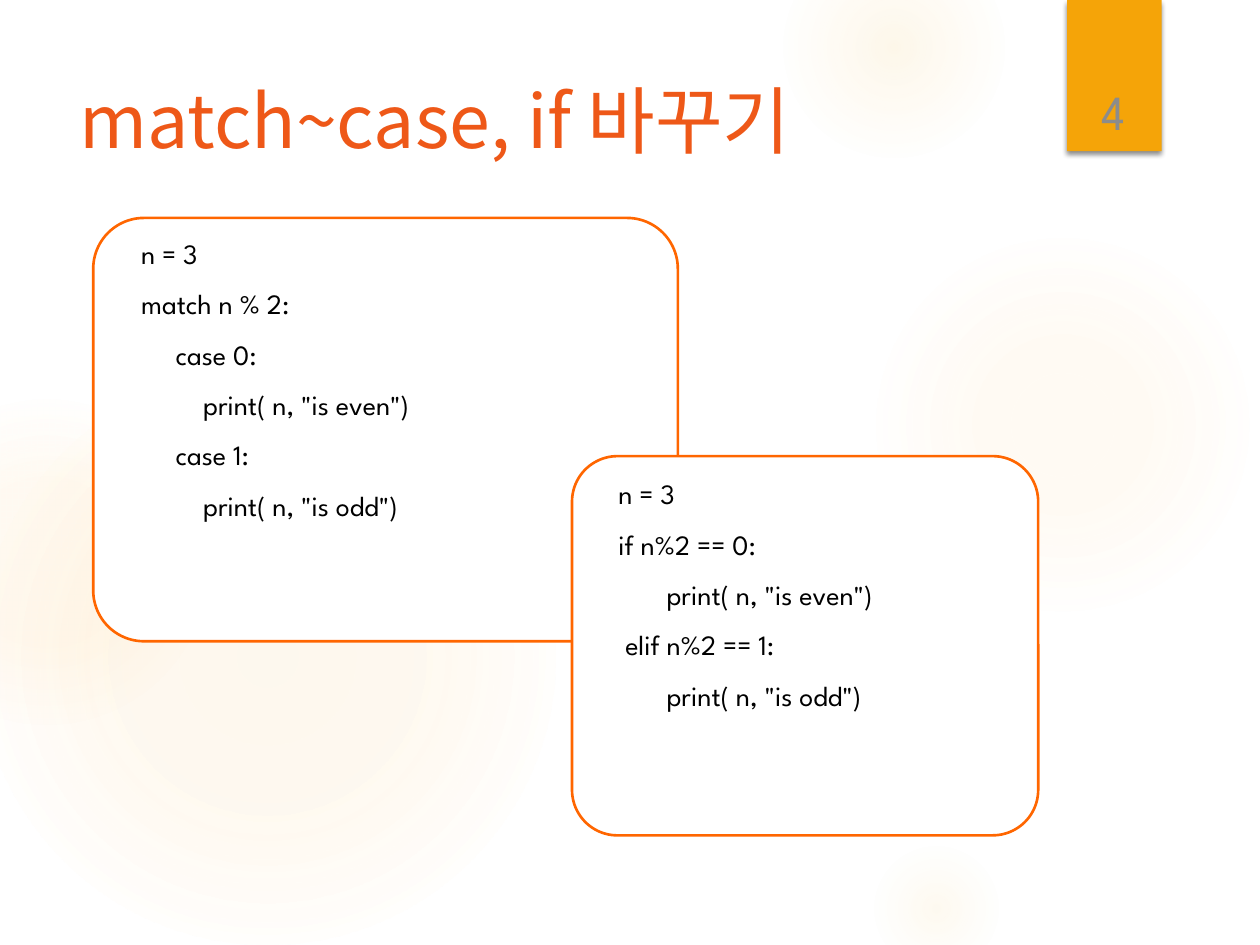
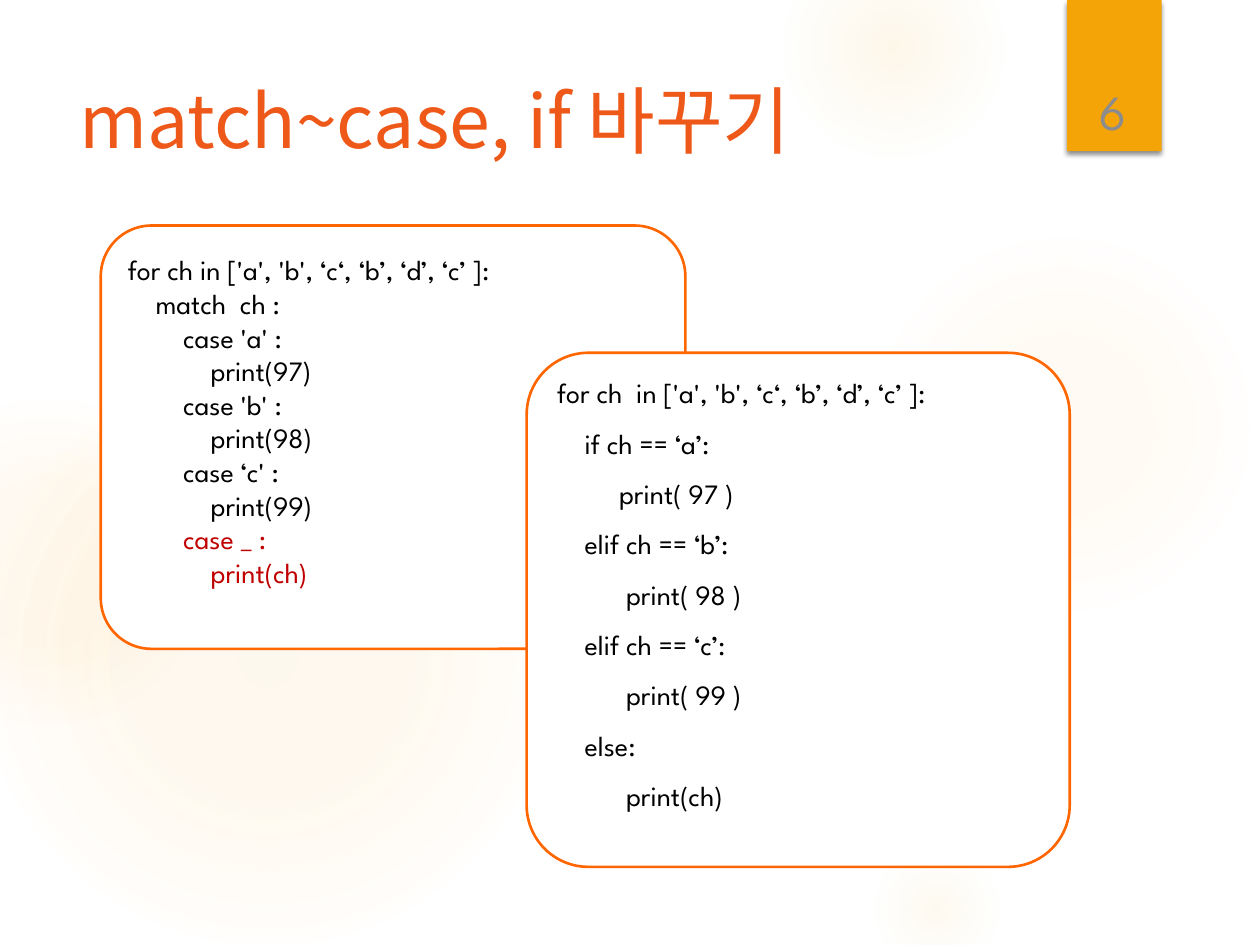
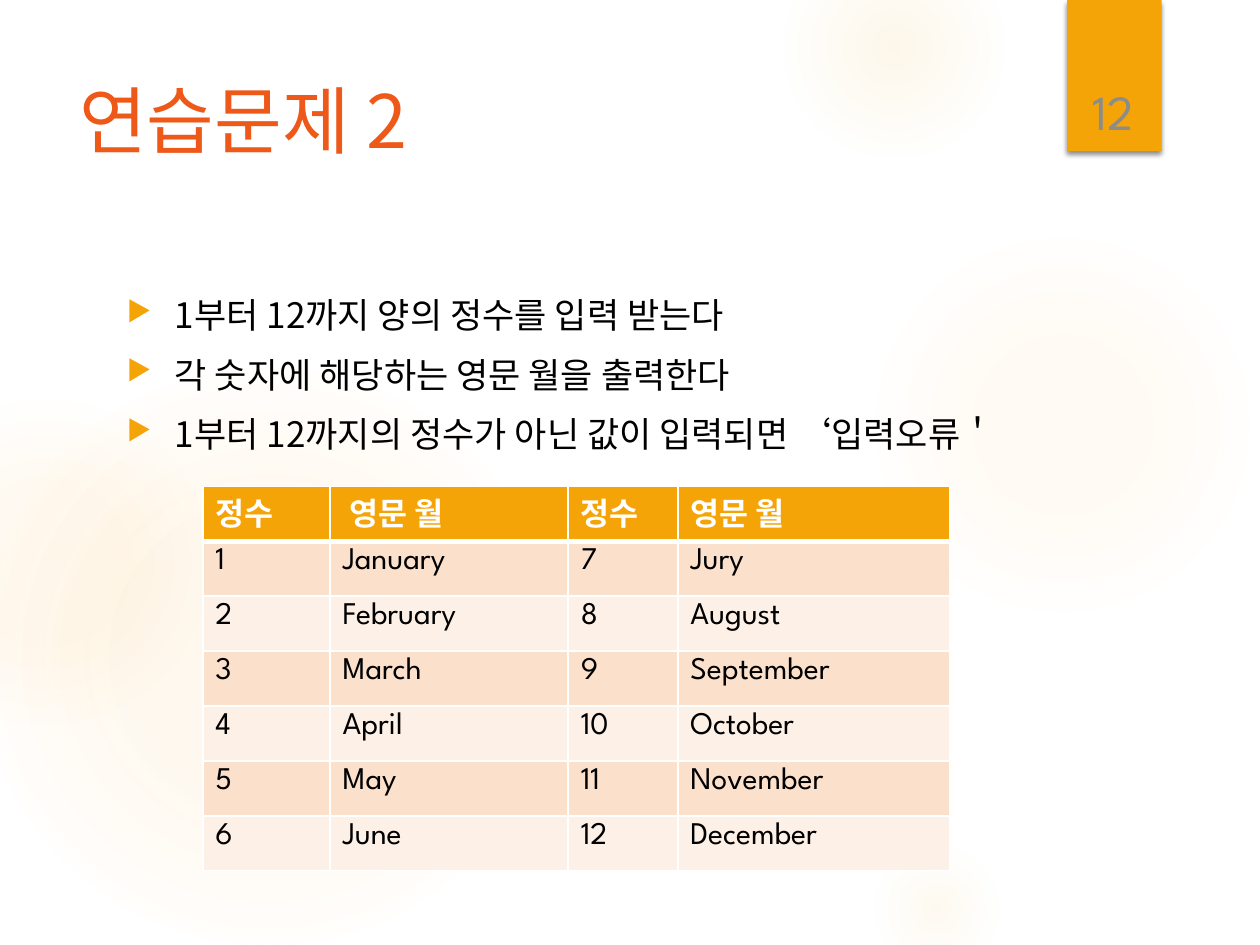
from lxml.etree import SubElement
from pptx import Presentation
from pptx.dml.color import RGBColor
from pptx.enum.shapes import MSO_SHAPE
from pptx.enum.text import MSO_ANCHOR, PP_ALIGN
from pptx.oxml import parse_xml
from pptx.oxml.ns import nsdecls, qn
from pptx.util import Inches, Pt

COLORS = {
    "paper": "FFFFFF", "ink": "000000", "title": "EE5818", "accent": "F5A408",
    "glow": "FAC96A", "outline": "FF6600", "number": "8C8C8C", "highlight": "C00000",
    "band_dark": "FBE0CC", "band_light": "FDF0E7",
}
LATIN, KOREAN = "League Spartan", "Noto Sans CJK KR"

GLOWS = [
    ((6.89, 1.83, 3.08), ((0, 7), (36, 6), (69, 0))),
    ((6.22, -0.5, 1.75), ((0, 14), (36, 7), (73, 0))),
    ((6.89, 6.67, 1.08), ((0, 10), (31, 5), (66, 0))),
    ((-0.17, 2.92, 4.58), ((0, 11), (36, 10), (75, 0))),
    ((-0.92, 3.17, 2.58), ((0, 8), (36, 8), (72, 0))),
]

CODE_SLIDES = [
    ("match~case, if 바꾸기", 4, [
        ((0.74, 1.73, 4.64, 3.36), 0.03, 1.5, [
            "   n = 3",
            "   match n % 2:",
            "        case 0:",
            '            print( n, "is even")',
            "        case 1:",
            '            print( n, "is odd")',
        ]),
        ((4.54, 3.62, 3.7, 3.01), 0.06, 1.5, [
            "   n = 3",
            "   if n%2 == 0:",
            '          print( n, "is even")',
            "    elif n%2 == 1:",
            '          print( n, "is odd")',
        ]),
    ]),
    ("match~case, if 바꾸기", 6, [
        ((0.8, 1.79, 4.64, 3.36), 0.1, 1.0, [
            "for ch in ['a', 'b', ‘c‘, ‘b’, ‘d’, ‘c’ ]:",
            "    match  ch :",
            "        case 'a' :",
            "            print(97)",
            "        case 'b' :",
            "            print(98)",
            "        case ‘c' :",
            "            print(99)",
            "        case _ :",
            "            print(ch)",
        ]),
        ((4.18, 2.8, 4.31, 4.08), 0.04, 1.5, [
            "for ch  in ['a', 'b', ‘c‘, ‘b’, ‘d’, ‘c’ ]:",
            "    if ch == ‘a’:",
            "         print( 97 )",
            "    elif ch == ‘b’:",
            "          print( 98 )",
            "    elif ch == ‘c’:",
            "          print( 99 )",
            "    else:",
            "          print(ch)",
        ]),
    ]),
]
HIGHLIGHTED = {"case _ :", "print(ch)"}

TASKS = [
    "1부터 12까지 양의 정수를 입력 받는다",
    "각 숫자에 해당하는 영문 월을 출력한다",
    "1부터 12까지의 정수가 아닌 값이 입력되면 ‘입력오류＇",
]
MONTHS = ["January", "February", "March", "April", "May", "June",
          "Jury", "August", "September", "October", "November", "December"]
MONTH_HEADER = ["정수", " 영문 월", "정수", "영문 월"]


def rgb(name):
    """Return a palette colour."""
    return RGBColor.from_string(COLORS[name])


def inches(box):
    """Convert a box of numbers to lengths."""
    return [Inches(value) for value in box]


def style(paragraph, size, color, face=LATIN, bold=False):
    """Set the font of a whole paragraph, for Latin and Korean text."""
    font = paragraph.font
    font.size, font.name, font.bold = Pt(size), face, bold
    font.color.rgb = rgb(color)
    defaults = paragraph._p.pPr.find(qn("a:defRPr"))
    SubElement(defaults, qn("a:ea")).set("typeface", KOREAN)


def add_text(slide, box, top_margin=0.05):
    """Add a wrapping text box and return its frame."""
    frame = slide.shapes.add_textbox(*inches(box)).text_frame
    frame.word_wrap = True
    frame.margin_top = Inches(top_margin)
    return frame


def add_filled(slide, preset, box, color):
    """Add a plain shape with a solid fill and no line."""
    shape = slide.shapes.add_shape(preset, *inches(box))
    shape.shadow.inherit = False
    shape.fill.solid()
    shape.fill.fore_color.rgb = rgb(color)
    shape.line.fill.background()
    return shape


def add_glow(slide, left, top, size, stops):
    """Add a soft circle that fades out from its centre."""
    glow = slide.shapes.add_shape(MSO_SHAPE.OVAL, *inches((left, top, size, size)))
    glow.shadow.inherit = False
    glow.line.fill.background()
    stop_list = "".join(
        f'<a:gs pos="{position * 1000}"><a:srgbClr val="{COLORS["glow"]}">'
        f'<a:alpha val="{alpha * 1000}"/></a:srgbClr></a:gs>'
        for position, alpha in stops)
    gradient = parse_xml(
        f'<a:gradFill {nsdecls("a")} rotWithShape="1"><a:gsLst>{stop_list}</a:gsLst>'
        '<a:path path="circle"><a:fillToRect l="50000" t="50000" r="50000" b="50000"/>'
        '</a:path></a:gradFill>')
    glow._element.spPr.find(qn("a:prstGeom")).addnext(gradient)


def add_ribbon(slide, left, top, number):
    """Add the shadowed ribbon with the slide number."""
    ribbon = add_filled(slide, MSO_SHAPE.RECTANGLE, (left, top, 0.75, 1.2), "accent")
    ribbon._element.spPr.find(qn("a:effectLst")).append(parse_xml(
        f'<a:outerShdw {nsdecls("a")} blurRad="{Pt(3)}" dist="{Pt(2)}" dir="5400000" '
        f'rotWithShape="0"><a:srgbClr val="{COLORS["ink"]}"><a:alpha val="45000"/>'
        '</a:srgbClr></a:outerShdw>'))
    frame = add_text(slide, (left + 0.02, top + 0.32, 0.69, 0.84))
    frame.vertical_anchor = MSO_ANCHOR.BOTTOM
    label = frame.paragraphs[0]
    label.text = str(number)
    label.alignment = PP_ALIGN.CENTER
    style(label, 28, "number")


def add_base(deck, title, number):
    """Add a slide with the shared background, ribbon and title."""
    slide = deck.slides.add_slide(deck.slide_layouts[6])
    slide.background.fill.solid()
    slide.background.fill.fore_color.rgb = rgb("paper")
    for place, stops in GLOWS:
        add_glow(slide, *place, stops)
    add_ribbon(slide, 8.47, 0, number)
    heading = add_text(slide, (0.53, 0.5, 7.72, 1.53), 0.1).paragraphs[0]
    heading.text = title
    heading.line_spacing = Pt(50)
    style(heading, 42, "title", KOREAN)
    return slide


def add_code(slide, box, top_margin, spacing, lines):
    """Add a rounded panel holding lines of code."""
    panel = add_filled(slide, MSO_SHAPE.ROUNDED_RECTANGLE, box, "paper")
    panel.adjustments[0] = 0.12
    panel.line.color.rgb = rgb("outline")
    panel.line.width = Pt(1.5)
    frame = panel.text_frame
    frame.word_wrap = True
    frame.vertical_anchor = MSO_ANCHOR.TOP
    frame.margin_top = Inches(top_margin)
    for index, line in enumerate(lines):
        paragraph = frame.add_paragraph() if index else frame.paragraphs[0]
        paragraph.text = line
        paragraph.alignment = PP_ALIGN.LEFT
        paragraph.line_spacing = spacing if index else 1.0
        marked = spacing == 1.0 and line.strip() in HIGHLIGHTED
        style(paragraph, 16, "highlight" if marked else "ink")


def add_tasks(slide, box):
    """Add the bulleted list of tasks."""
    frame = add_text(slide, box, 0.08)
    for index, task in enumerate(TASKS):
        paragraph = frame.add_paragraph() if index else frame.paragraphs[0]
        paragraph.text = task
        properties = paragraph._p.get_or_add_pPr()
        properties.set("marL", str(Inches(0.38)))
        properties.set("indent", str(-Inches(0.38)))
        color = SubElement(properties, qn("a:buClr"))
        SubElement(color, qn("a:srgbClr")).set("val", COLORS["accent"])
        SubElement(properties, qn("a:buSzPct")).set("val", "80000")
        SubElement(properties, qn("a:buChar")).set("char", "▶")
        paragraph.line_spacing = Pt(24)
        if index:
            paragraph.space_before = Pt(10)
        style(paragraph, 20, "ink", KOREAN)


def add_borders(cell, bottom):
    """Draw white borders round a cell."""
    widths = {"a:lnL": 1, "a:lnR": 1, "a:lnT": 1, "a:lnB": bottom}
    for index, (side, width) in enumerate(widths.items()):
        cell._tc.get_or_add_tcPr().insert(index, parse_xml(
            f'<{side} {nsdecls("a")} w="{Pt(width)}"><a:solidFill>'
            f'<a:srgbClr val="{COLORS["paper"]}"/></a:solidFill></{side}>'))


def add_months(slide, left, top):
    """Add the table of month numbers and names."""
    widths, height = (1.01, 1.89, 0.87, 2.16), 0.436
    half = len(MONTHS) // 2
    rows = [MONTH_HEADER] + [
        [str(n + 1), MONTHS[n], str(n + 1 + half), MONTHS[n + half]] for n in range(half)]
    box = inches((left, top, sum(widths), height * len(rows)))
    table = slide.shapes.add_table(len(rows), len(widths), *box).table
    for column, width in zip(table.columns, widths):
        column.width = Inches(width)
    for r, row in enumerate(rows):
        fill = ("band_dark" if r % 2 else "band_light") if r else "accent"
        for c, value in enumerate(row):
            cell = table.cell(r, c)
            cell.fill.solid()
            cell.fill.fore_color.rgb = rgb(fill)
            add_borders(cell, 1 if r else 3)
            paragraph = cell.text_frame.paragraphs[0]
            paragraph.text = value
            if r == 0:
                paragraph.line_spacing = Pt(24)
            style(paragraph, 18, "ink" if r else "paper", bold=r == 0)


def main():
    """Build the deck and save it."""
    deck = Presentation()
    deck.slide_width, deck.slide_height = Inches(10), Inches(7.5)
    for title, number, panels in CODE_SLIDES:
        slide = add_base(deck, title, number)
        for panel in panels:
            add_code(slide, *panel)
    exercise = add_base(deck, "연습문제 2", 12)
    add_tasks(exercise, (0.91, 2.25, 7.34, 4.59))
    add_months(exercise, 1.61, 3.86)
    deck.save("out.pptx")


if __name__ == "__main__":
    main()
